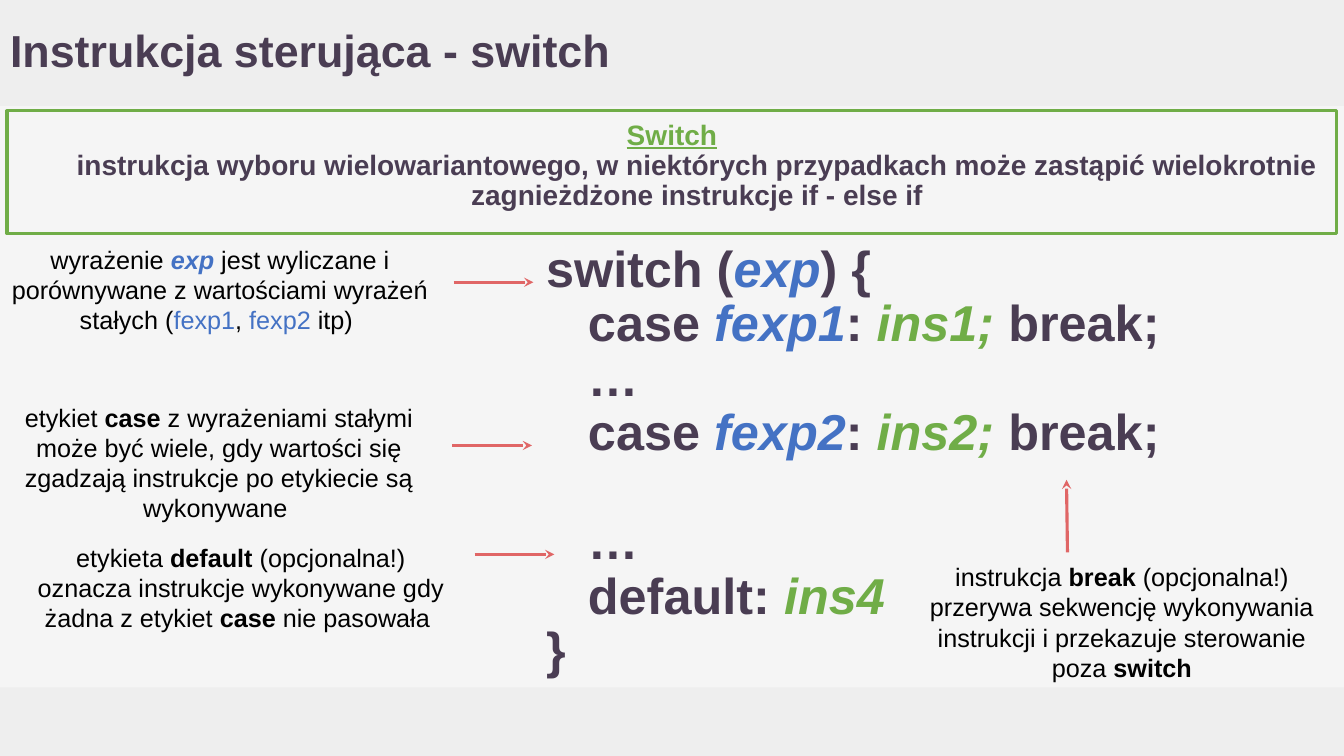
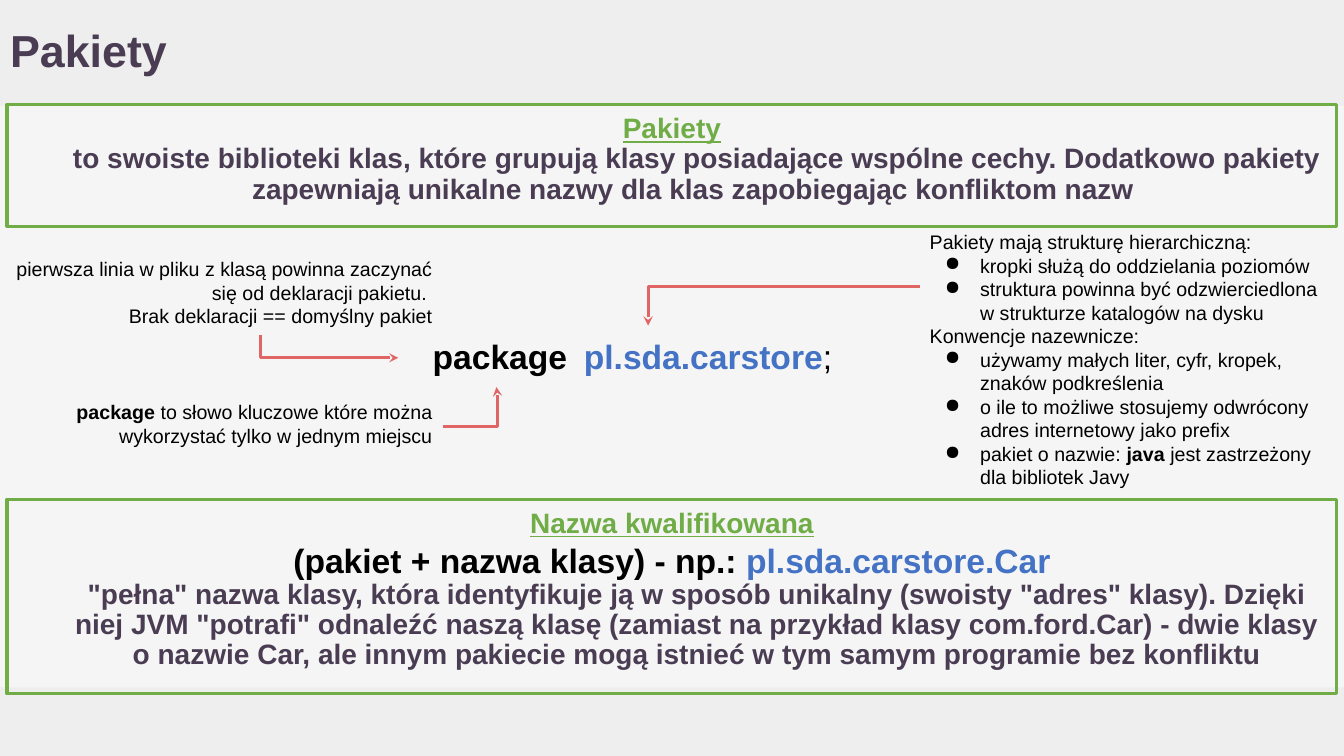
from dataclasses import dataclass
from functools import partial
from typing import Optional, Sequence

from lxml import etree
from pptx import Presentation
from pptx.dml.color import RGBColor
from pptx.enum.shapes import MSO_CONNECTOR, MSO_SHAPE
from pptx.enum.text import MSO_ANCHOR, MSO_AUTO_SIZE, PP_ALIGN
from pptx.oxml.ns import qn
from pptx.util import Pt

LEFT, CENTER, RIGHT = PP_ALIGN.LEFT, PP_ALIGN.CENTER, PP_ALIGN.RIGHT
TOP, MIDDLE = MSO_ANCHOR.TOP, MSO_ANCHOR.MIDDLE
RECTANGLE = MSO_SHAPE.RECTANGLE
STRAIGHT, ELBOW = MSO_CONNECTOR.STRAIGHT, MSO_CONNECTOR.ELBOW
NO_AUTOFIT = MSO_AUTO_SIZE.NONE

FONT = "Arial"
PAPER, BAND, BLACK = "F5F5F5", "EEEEEE", "000000"
PLUM, GREEN, BLUE, CORAL = "4A3D53", "70AD47", "4472C4", "E06666"

SLIDE_WIDTH, SLIDE_HEIGHT = 960, 540
HEADER_HEIGHT, FOOTER_TOP = 75.6, 491
TITLE_WIDTH = 858
INSET = 7.2
STROKE = 2.25
FRAME_LEFT, FRAME_WIDTH = 5, 950
CODE_LINE_HEIGHT = 39


@dataclass(frozen=True)
class Box:
    left: float
    top: float
    width: float
    height: float


@dataclass(frozen=True)
class Span:
    text: str
    color: Optional[str] = None
    bold: Optional[bool] = None
    italic: Optional[bool] = None


@dataclass(frozen=True)
class TextLine:
    spans: Sequence[Span]
    size: float
    color: str = BLACK
    bold: bool = False
    underline: bool = False
    alignment: PP_ALIGN = LEFT
    indent: float = 0
    hanging: float = 0
    spacing: Optional[float] = None
    space_before: float = 0
    bullet: str = ""
    tab_stop: float = 0


@dataclass(frozen=True)
class Arrow:
    """An arrow with its head at the end; adjust (in percent) places an elbow's bend."""
    start: tuple[float, float]
    end: tuple[float, float]
    preset: str = "line"
    adjust: Optional[int] = None


@dataclass(frozen=True)
class Note:
    box: Box
    lines: Sequence[TextLine]


Heading = partial(TextLine, size=20, color=GREEN, bold=True, underline=True,
                  alignment=CENTER, spacing=0.9)
Definition = partial(TextLine, size=20, color=PLUM, bold=True,
                     alignment=CENTER, indent=36, spacing=0.9)
Code = partial(TextLine, size=36, color=PLUM, bold=True, spacing=0.9)
Example = partial(TextLine, size=24, bold=True)
Caption = partial(TextLine, size=18, alignment=CENTER)
SideNote = partial(TextLine, size=14, alignment=RIGHT)
ListHead = partial(TextLine, size=14)
ListItem = partial(TextLine, size=14, indent=36, hanging=25.2, bullet="●")
Strong = partial(Span, bold=True)
Term = partial(Span, color=BLUE, italic=True)
Action = partial(Span, color=GREEN, italic=True)


def rgb(color: str) -> RGBColor:
    return RGBColor.from_string(color)


def points(box: Box) -> tuple:
    return Pt(box.left), Pt(box.top), Pt(box.width), Pt(box.height)


def format_paragraph(paragraph, line: TextLine) -> None:
    paragraph.alignment = line.alignment
    if line.spacing:
        paragraph.line_spacing = line.spacing
    paragraph.space_before = Pt(line.space_before)
    properties = paragraph._p.get_or_add_pPr()
    properties.set("marL", str(Pt(line.indent)))
    properties.set("indent", str(-Pt(line.hanging)))
    if line.bullet:
        bullet_color = etree.SubElement(properties, qn("a:buClr"))
        etree.SubElement(bullet_color, qn("a:srgbClr"), val=line.color)
        etree.SubElement(properties, qn("a:buChar"), char=line.bullet)
    if line.tab_stop:
        tabs = etree.SubElement(properties, qn("a:tabLst"))
        etree.SubElement(tabs, qn("a:tab"), pos=str(Pt(line.tab_stop)), algn="l")
    font = paragraph.font
    font.name, font.size = FONT, Pt(line.size)
    font.bold, font.underline = line.bold, line.underline
    font.color.rgb = rgb(line.color)


def write_text(shape, lines: Sequence[TextLine], anchor: MSO_ANCHOR = TOP) -> None:
    frame = shape.text_frame
    frame.word_wrap = True
    frame.auto_size = NO_AUTOFIT
    frame.vertical_anchor = anchor
    frame.margin_left = frame.margin_right = Pt(INSET)
    frame.margin_top = frame.margin_bottom = Pt(INSET)
    for index, line in enumerate(lines):
        paragraph = frame.add_paragraph() if index else frame.paragraphs[0]
        format_paragraph(paragraph, line)
        for span in line.spans:
            run = paragraph.add_run()
            run.text = span.text
            if span.color:
                run.font.color.rgb = rgb(span.color)
            if span.bold is not None:
                run.font.bold = span.bold
            if span.italic is not None:
                run.font.italic = span.italic


def add_note(slide, note: Note) -> None:
    write_text(slide.shapes.add_textbox(*points(note.box)), note.lines)


def add_frame(slide, top: float, height: float, lines: Sequence[TextLine]) -> None:
    box = Box(FRAME_LEFT, top, FRAME_WIDTH, height)
    shape = slide.shapes.add_shape(RECTANGLE, *points(box))
    shape.shadow.inherit = False
    shape.fill.background()
    shape.line.color.rgb = rgb(GREEN)
    shape.line.width = Pt(STROKE)
    write_text(shape, lines)


def add_arrow(slide, arrow: Arrow) -> None:
    kind = STRAIGHT if arrow.preset == "line" else ELBOW
    ends = [Pt(value) for value in (*arrow.start, *arrow.end)]
    connector = slide.shapes.add_connector(kind, *ends)
    connector.line.color.rgb = rgb(CORAL)
    connector.line.width = Pt(STROKE)
    properties = connector._element.spPr
    geometry = properties.find(qn("a:prstGeom"))
    geometry.set("prst", arrow.preset)
    if arrow.adjust is not None:
        guides = geometry.find(qn("a:avLst"))
        etree.SubElement(guides, qn("a:gd"), name="adj1",
                         fmla=f"val {arrow.adjust * 1000}")
    etree.SubElement(properties.find(qn("a:ln")), qn("a:tailEnd"), type="stealth")
    etree.SubElement(properties, qn("a:effectLst"))


def add_layout_bands(slide) -> None:
    """Draw the header and footer bands, then move them behind the layout's placeholders."""
    bands = (Box(0, 0, SLIDE_WIDTH, HEADER_HEIGHT),
             Box(0, FOOTER_TOP, SLIDE_WIDTH, SLIDE_HEIGHT - FOOTER_TOP))
    for number, box in enumerate(bands):
        band = slide.shapes.add_shape(RECTANGLE, *points(box))
        band.shadow.inherit = False
        band.fill.solid()
        band.fill.fore_color.rgb = rgb(BAND)
        band.line.fill.background()
        band._element.nvSpPr.cNvPr.set("id", str(100 + number))
        slide.slide_layout.shapes._spTree.insert(2 + number, band._element)


def add_titled_slide(presentation, title: str):
    slide = presentation.slides.add_slide(presentation.slide_layouts[5])
    shape = slide.shapes.title
    shape.left, shape.top, shape.width, shape.height = points(
        Box(0, 0, TITLE_WIDTH, HEADER_HEIGHT))
    line = TextLine([Span(title)], size=32, color=PLUM, bold=True, spacing=0.9)
    write_text(shape, [line], MIDDLE)
    return slide


def case_line(expression: str, instruction: str) -> TextLine:
    return Code([Span("   case "), Term(expression), Span(": "),
                 Action(f"{instruction}; "), Span("break;")])


def add_switch_slide(presentation):
    slide = add_titled_slide(presentation, "Instrukcja sterująca - switch")
    add_frame(slide, 79.2, 87.8, [
        Heading([Span("Switch")]),
        Definition([Span("instrukcja wyboru wielowariantowego, w niektórych przypadkach może "
                         "zastąpić wielokrotnie zagnieżdżone instrukcje if - else if")]),
    ])
    notes = (
        Note(Box(383, 167, 474.5, 322), [
            Code([Span("switch ("), Term("exp"), Span(") {")]),
            case_line("fexp1", "ins1"),
            Code([Span("   …")]),
            case_line("fexp2", "ins2"),
            Code([Span("   …")], space_before=CODE_LINE_HEIGHT),
            Code([Span("   default: "), Action("ins4")]),
            Code([Span("}")]),
        ]),
        Note(Box(0, 167, 314, 79), [Caption([
            Span("wyrażenie "), Term("exp ", bold=True),
            Span("jest wyliczane i porównywane z wartościami wyrażeń stałych ("),
            Span("fexp1", BLUE), Span(", "), Span("fexp2 ", BLUE), Span("itp) ")])]),
        Note(Box(-0.7, 280, 314, 98.6), [Caption([
            Span("etykiet "), Strong("case "),
            Span("z wyrażeniami stałymi może być wiele, gdy wartości się zgadzają "
                 "instrukcje po etykiecie są wykonywane ")])]),
        Note(Box(652.3, 393.8, 298, 110), [Caption([
            Span("instrukcja "), Strong("break "),
            Span("(opcjonalna!) przerywa sekwencję wykonywania instrukcji "
                 "i przekazuje sterowanie poza "),
            Strong("switch")])]),
        Note(Box(15, 380, 314, 79), [Caption([
            Span("etykieta "), Strong("default "),
            Span("(opcjonalna!) oznacza instrukcje wykonywane gdy żadna z etykiet "),
            Strong("case "), Span("nie pasowała ")])]),
    )
    for note in notes:
        add_note(slide, note)
    for left, y in ((324, 201.6), (323, 318.2), (339, 396)):
        add_arrow(slide, Arrow((left, y), (left + 57, y)))
    add_arrow(slide, Arrow((762.5, 394.6), (761.8, 342.7)))
    return slide


def add_packages_slide(presentation):
    slide = add_titled_slide(presentation, "Pakiety")
    add_frame(slide, 74.6, 87, [
        Heading([Span("Pakiety")]),
        Definition([Span("to swoiste biblioteki klas, które grupują klasy posiadające wspólne "
                         "cechy. Dodatkowo pakiety zapewniają unikalne nazwy dla klas "
                         "zapobiegając konfliktom nazw ")]),
    ])
    add_frame(slide, 356.6, 139, [
        Heading([Span("Nazwa kwalifikowana")]),
        Example([Span("(pakiet + nazwa klasy) - np.: "), Span("pl.sda.carstore.Car", BLUE)],
                alignment=CENTER),
        Definition([Span('"pełna" nazwa klasy, która identyfikuje ją w sposób unikalny '
                         '(swoisty "adres" klasy). Dzięki niej JVM "potrafi" odnaleźć naszą '
                         "klasę (zamiast na przykład klasy com.ford.Car) - dwie klasy o nazwie "
                         "Car, ale innym pakiecie mogą istnieć w tym samym programie bez "
                         "konfliktu")]),
    ])
    notes = (
        Note(Box(302, 232.6, 338, 46), [
            Example([Span("package\t"), Span("pl.sda.carstore", BLUE), Span(";", bold=False)],
                    tab_stop=129.5)]),
        Note(Box(-7.2, 176.4, 323.3, 62), [
            SideNote([Span("pierwsza linia w pliku z klasą powinna zaczynać się "
                           "od deklaracji pakietu. ")]),
            SideNote([Span("Brak deklaracji == domyślny pakiet")])]),
        Note(Box(-7.2, 278.6, 323.3, 62), [SideNote([
            Strong("package "),
            Span("to słowo kluczowe które można wykorzystać tylko w jednym miejscu")])]),
        Note(Box(657, 157, 303, 181.4), [
            ListHead([Span("Pakiety mają strukturę hierarchiczną:")]),
            ListItem([Span("kropki służą do oddzielania poziomów")]),
            ListItem([Span("struktura powinna być odzwierciedlona w strukturze "
                           "katalogów na dysku")]),
            ListHead([Span("Konwencje nazewnicze:")]),
            ListItem([Span("używamy małych liter, cyfr, kropek, znaków podkreślenia")]),
            ListItem([Span("o ile to możliwe stosujemy odwrócony adres internetowy "
                           "jako prefix")]),
            ListItem([Span("pakiet o nazwie: "), Strong("java "),
                      Span("jest zastrzeżony dla bibliotek Javy")])]),
    )
    for note in notes:
        add_note(slide, note)
    arrows = (
        Arrow((186.3, 239), (284.6, 255.6), "bentConnector3", 0),
        Arrow((316.8, 304.6), (354.6, 276.5), "bentConnector3", 102),
        Arrow((657.3, 204.5), (463, 232.6), "bentConnector2"),
    )
    for arrow in arrows:
        add_arrow(slide, arrow)


def main() -> None:
    presentation = Presentation()
    presentation.slide_width, presentation.slide_height = Pt(SLIDE_WIDTH), Pt(SLIDE_HEIGHT)
    background = presentation.slide_master.background.fill
    background.solid()
    background.fore_color.rgb = rgb(PAPER)
    add_layout_bands(add_switch_slide(presentation))
    add_packages_slide(presentation)
    presentation.save("out.pptx")


if __name__ == "__main__":
    main()
